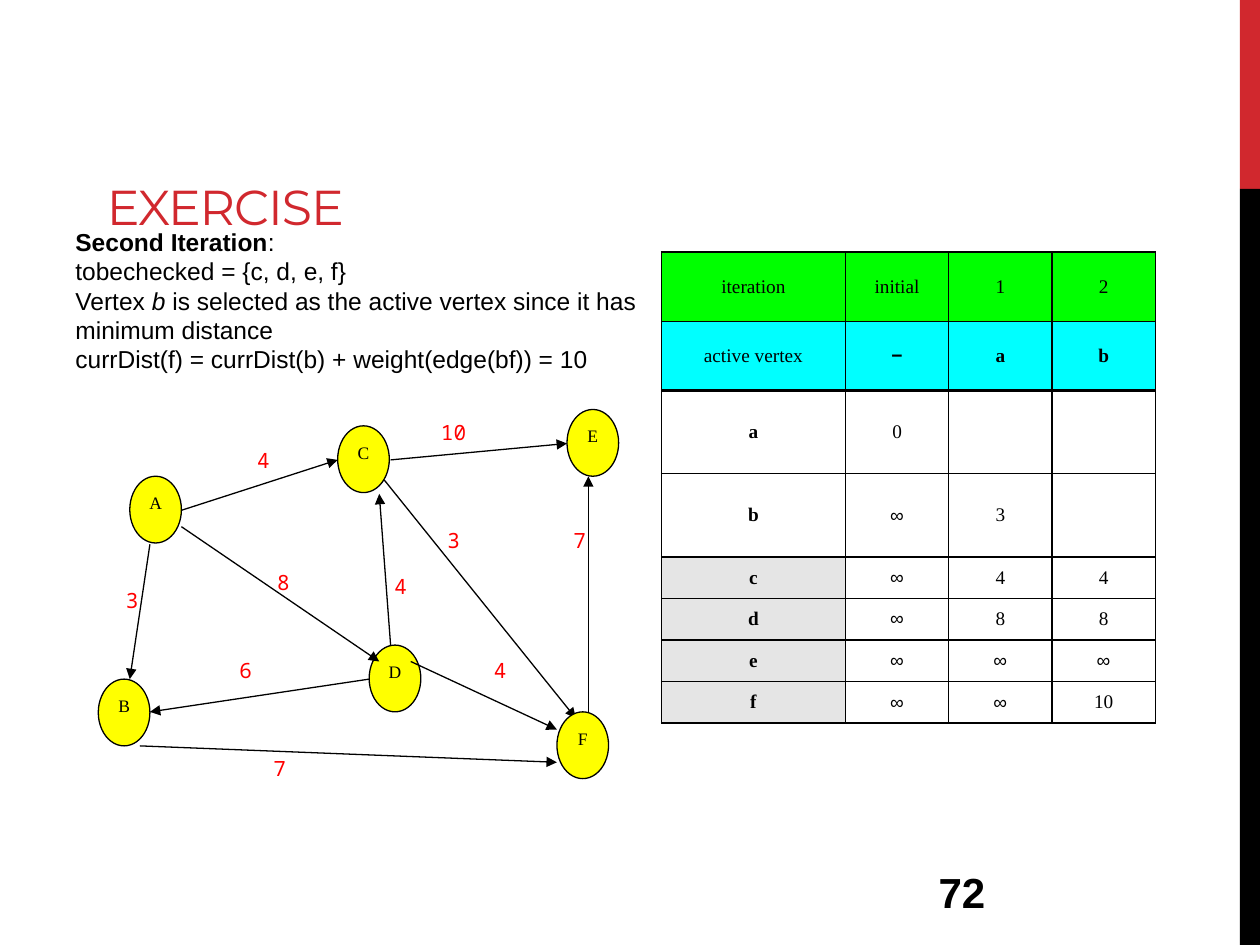
from lxml import etree
from pptx import Presentation
from pptx.dml.color import RGBColor
from pptx.enum.shapes import MSO_CONNECTOR, MSO_SHAPE
from pptx.enum.text import MSO_ANCHOR, PP_ALIGN
from pptx.oxml.ns import qn
from pptx.util import Inches, Pt

RECTANGLE, OVAL = MSO_SHAPE.RECTANGLE, MSO_SHAPE.OVAL
STRAIGHT = MSO_CONNECTOR.STRAIGHT
TOP, MIDDLE, BOTTOM = MSO_ANCHOR.TOP, MSO_ANCHOR.MIDDLE, MSO_ANCHOR.BOTTOM
LEFT, CENTER = PP_ALIGN.LEFT, PP_ALIGN.CENTER

BLACK = RGBColor(0x00, 0x00, 0x00)
CRIMSON = RGBColor(0xD1, 0x28, 0x2E)
RED = RGBColor(0xFF, 0x00, 0x00)
YELLOW = RGBColor(0xFF, 0xFF, 0x00)
GREEN = RGBColor(0x00, 0xFF, 0x00)
CYAN = RGBColor(0x00, 0xFF, 0xFF)
GRAY = RGBColor(0xE5, 0xE5, 0xE5)

SANS, SERIF, MONO, TITLE_FONT = "Arial", "Times New Roman", "Noto Sans Mono", "Montserrat"

# Graph: left and top of each vertex
NODE_WIDTH, NODE_HEIGHT = 0.41, 0.53
WEIGHT_WIDTH, WEIGHT_HEIGHT = 0.5, 0.3
NODES = {
    "A": (1.03, 3.78), "B": (0.78, 5.39), "C": (2.68, 3.38),
    "D": (2.93, 5.12), "E": (4.5, 3.25), "F": (4.42, 5.65),
}
# Start, end, weight, centre of the weight
EDGE_BEHIND_NODES = ((3.05, 3.81), (4.57, 5.7), "3", (3.6, 4.29))
EDGES = [
    ((1.44, 4.05), (2.68, 3.65), "4", (2.09, 3.65)),
    ((1.19, 4.32), (1.03, 5.39), "3", (1.05, 4.76)),
    ((3.26, 5.25), (4.42, 5.79), "4", (3.97, 5.32)),
    ((4.67, 5.65), (4.67, 3.78), "7", (4.6, 4.29)),
    ((2.93, 5.39), (1.19, 5.65), "6", (1.95, 5.32)),
    ((1.44, 4.18), (3.01, 5.25), "8", (2.25, 4.62)),
    ((3.1, 5.12), (3.01, 3.92), "4", (3.18, 4.65)),
    ((3.1, 3.65), (4.5, 3.52), "10", (3.6, 3.43)),
    ((1.11, 5.92), (4.42, 6.05), "7", (2.22, 6.1)),
]

# Each paragraph is a list of (text, bold, italic)
EXPLANATION = [
    [("Second Iteration", True, False), (":", False, False)],
    [("tobechecked = {c, d, e, f}", False, False)],
    [("Vertex ", False, False), ("b", False, True),
     (" is selected as the active vertex since it has minimum distance", False, False)],
    [("currDist(f) = currDist(b) + weight(edge(bf)) = 10", False, False)],
]

DISTANCES = [
    ["iteration", "initial", "1", "2"],
    ["active vertex", "−", "a", "b"],
    ["a", "0", "", ""],
    ["b", "∞", "3", ""],
    ["c", "∞", "4", "4"],
    ["d", "∞", "8", "8"],
    ["e", "∞", "∞", "∞"],
    ["f", "∞", "∞", "10"],
]
COLUMN_WIDTHS = [1.46] + [0.82] * 3
ROW_HEIGHTS = [0.55] * 2 + [0.66] * 2 + [0.33] * 4


def style_run(run, size, font, color=BLACK, bold=False, italic=False):
    run.font.size = Pt(size)
    run.font.name = font
    run.font.color.rgb = color
    run.font.bold = bold
    run.font.italic = italic


def add_text(slide, area, paragraphs, size, font, color=BLACK,
             anchor=TOP, align=LEFT, wrap=True):
    box = slide.shapes.add_textbox(*map(Inches, area))
    frame = box.text_frame
    frame.word_wrap = wrap
    frame.vertical_anchor = anchor
    for index, pieces in enumerate(paragraphs):
        para = frame.paragraphs[0] if index == 0 else frame.add_paragraph()
        para.alignment = align
        for text, bold, italic in pieces:
            run = para.add_run()
            run.text = text
            style_run(run, size, font, color, bold, italic)
    return box


def add_band(slide, top, height, color):
    band = slide.shapes.add_shape(
        RECTANGLE, Inches(9.84), Inches(top), Inches(0.16), Inches(height))
    band.shadow.inherit = False
    band.fill.solid()
    band.fill.fore_color.rgb = color
    band.line.fill.background()


def add_node(slide, name, left, top):
    node = slide.shapes.add_shape(
        OVAL, Inches(left), Inches(top), Inches(NODE_WIDTH), Inches(NODE_HEIGHT))
    node.shadow.inherit = False
    node.fill.solid()
    node.fill.fore_color.rgb = YELLOW
    node.line.color.rgb = BLACK
    node.line.width = Pt(0.75)
    frame = node.text_frame
    frame.margin_left = frame.margin_right = 0
    frame.vertical_anchor = TOP
    frame.text = name
    para = frame.paragraphs[0]
    para.alignment = CENTER
    style_run(para.runs[0], 10, SERIF)


def add_edge(slide, start, end, weight, center):
    edge = slide.shapes.add_connector(STRAIGHT, *map(Inches, start + end))
    edge.line.color.rgb = BLACK
    edge.line.width = Pt(0.75)
    etree.SubElement(edge.line._get_or_add_ln(), qn("a:tailEnd"), type="triangle")
    etree.SubElement(edge._element.spPr, qn("a:effectLst"))
    area = (center[0] - WEIGHT_WIDTH / 2, center[1] - WEIGHT_HEIGHT / 2,
            WEIGHT_WIDTH, WEIGHT_HEIGHT)
    add_text(slide, area, [[(weight, False, False)]], 12, MONO, RED,
             anchor=MIDDLE, align=CENTER, wrap=False)


def set_borders(cell, widths):
    properties = cell._tc.get_or_add_tcPr()
    for index, (side, width) in enumerate(widths.items()):
        line = etree.Element(qn(f"a:ln{side}"), w=str(Pt(width)))
        fill = etree.SubElement(line, qn("a:solidFill"))
        etree.SubElement(fill, qn("a:srgbClr"), val=str(BLACK))
        properties.insert(index, line)


def cell_color(row, column):
    if row < 2:
        return (GREEN, CYAN)[row]
    return GRAY if row >= 4 and column == 0 else None


def add_distance_table(slide):
    frame = slide.shapes.add_table(
        len(ROW_HEIGHTS), len(COLUMN_WIDTHS), Inches(5.25), Inches(2),
        Inches(sum(COLUMN_WIDTHS)), Inches(sum(ROW_HEIGHTS)))
    table = frame.table
    table.first_row = table.horz_banding = False
    for column, width in zip(table.columns, COLUMN_WIDTHS):
        column.width = Inches(width)
    for row, height in zip(table.rows, ROW_HEIGHTS):
        row.height = Inches(height)
    for row, values in enumerate(DISTANCES):
        for column, value in enumerate(values):
            cell = table.cell(row, column)
            cell.vertical_anchor = MIDDLE
            color = cell_color(row, column)
            if color is None:
                cell.fill.background()
            else:
                cell.fill.solid()
                cell.fill.fore_color.rgb = color
            # A thicker rule separates the headings from the distances
            set_borders(cell, {"L": 1, "R": 1, "T": 2 if row == 2 else 1,
                               "B": 2 if row == 1 else 1})
            cell.text_frame.text = value
            para = cell.text_frame.paragraphs[0]
            para.alignment = CENTER
            bold = column > 0 if row == 1 else row > 1 and column == 0
            for run in para.runs:
                style_run(run, 11, SANS if value in "−∞" else SERIF, bold=bold)


def main():
    deck = Presentation()
    deck.slide_width, deck.slide_height = Inches(10), Inches(7.5)
    slide = deck.slides.add_slide(deck.slide_layouts[6])

    # Side bands
    add_band(slide, 0, 1.5, CRIMSON)
    add_band(slide, 1.5, 6, BLACK)

    # Title, table, page number and explanation
    title = add_text(slide, (0.75, 0.17, 7.51, 1.75), [[("EXERCISE", False, False)]],
                     28, TITLE_FONT, CRIMSON, anchor=BOTTOM)
    title.text_frame.paragraphs[0].runs[0].font._element.set("spc", "-60")
    add_distance_table(slide)
    add_text(slide, (7.35, 6.83, 2.08, 0.5), [[("72", True, False)]],
             24, SANS, anchor=MIDDLE)
    add_text(slide, (0.5, 1.75, 4.75, 1.28), EXPLANATION, 14, SANS)

    # Weighted graph
    add_edge(slide, *EDGE_BEHIND_NODES)
    for name, (left, top) in NODES.items():
        add_node(slide, name, left, top)
    for edge in EDGES:
        add_edge(slide, *edge)

    deck.save("out.pptx")


if __name__ == "__main__":
    main()
